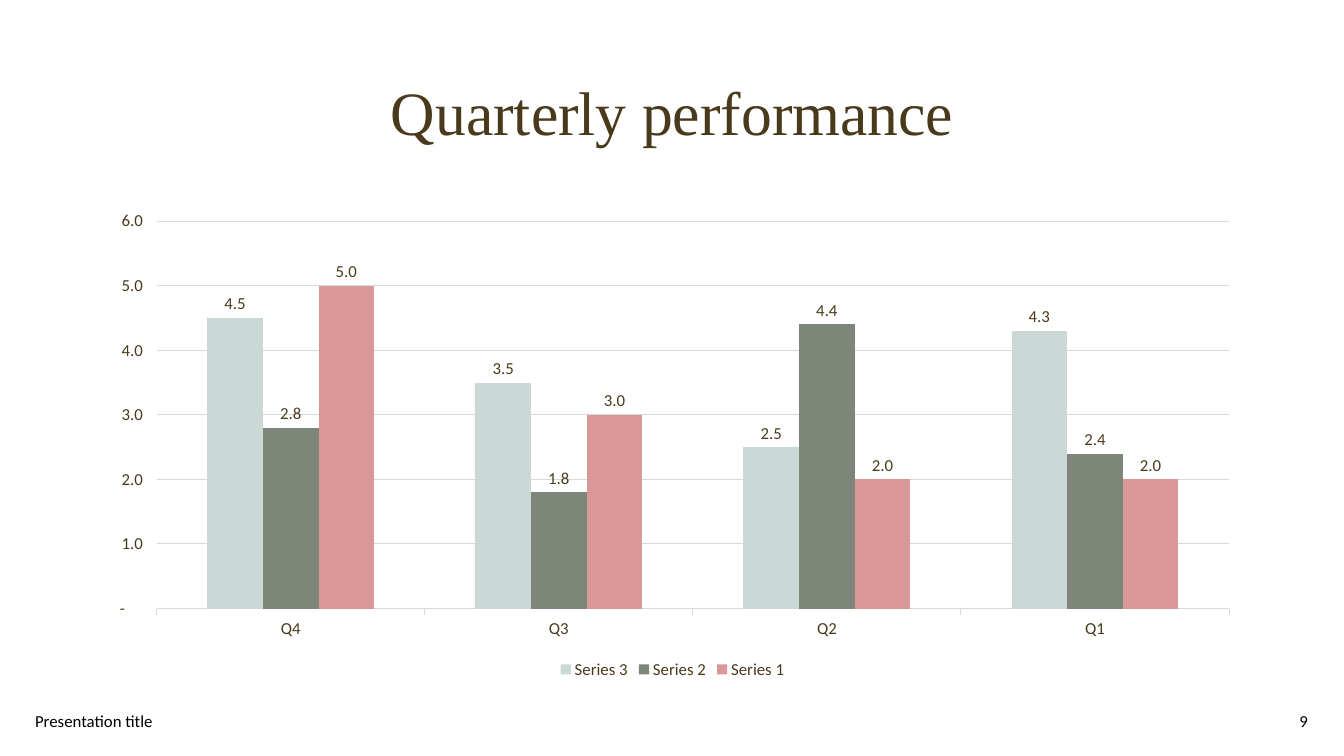
from pptx import Presentation
from pptx.chart.data import CategoryChartData as ChartData
from pptx.dml.color import RGBColor as RGB
from pptx.enum.chart import XL_CHART_TYPE as Kind
from pptx.enum.chart import XL_LABEL_POSITION as Spot
from pptx.enum.chart import XL_LEGEND_POSITION as Side
from pptx.enum.chart import XL_TICK_MARK as Tick
from pptx.enum.text import MSO_ANCHOR as Anchor
from pptx.enum.text import PP_ALIGN as Align
from pptx.util import Inches, Pt

COLORS = {
    "brown": "4A3A1C", "black": "000000", "grid": "D9D9D9",
    "mist": "CAD8D6", "sage": "7E8679", "rose": "D99797",
}
QUARTERS = ["Q4", "Q3", "Q2", "Q1"]
SERIES = [
    ("Series 3", [4.5, 3.5, 2.5, 4.3], "mist"),
    ("Series 2", [2.8, 1.8, 4.4, 2.4], "sage"),
    ("Series 1", [5, 3, 2, 2], "rose"),
]
FORMAT = '_(* #,##0.0_);_(* \\(#,##0.0\\);_(* "-"??_);_(@_)'


def color(name):
    return RGB.from_string(COLORS[name])


def style(font, size=12, tint="brown", face="Calibri"):
    font.name = face
    font.size = Pt(size)
    font.color.rgb = color(tint)


def rule(line):
    """Make an axis or grid line thin and grey."""
    line.color.rgb = color("grid")
    line.width = Pt(0.75)


def set_title(slide, text):
    title = slide.shapes.title
    title.left, title.top = Inches(0.92), Inches(0.42)
    title.width, title.height = Inches(11.5), Inches(1.45)
    title.text = text
    title.text_frame.vertical_anchor = Anchor.MIDDLE
    para = title.text_frame.paragraphs[0]
    para.alignment = Align.CENTER
    para.line_spacing = 0.9
    style(para.font, 44, face="Times New Roman")


def add_note(slide, text, left, width, align):
    """Add a text to the footer row."""
    box = slide.shapes.add_textbox(
        Inches(left), Inches(6.95), Inches(width), Inches(0.4))
    frame = box.text_frame
    frame.word_wrap = True
    frame.vertical_anchor = Anchor.MIDDLE
    para = frame.paragraphs[0]
    para.text = text
    para.alignment = align
    style(para.font, tint="black")


def style_axes(chart):
    cat, val = chart.category_axis, chart.value_axis
    for axis in (cat, val):
        axis.major_tick_mark = Tick.OUTSIDE
        axis.minor_tick_mark = Tick.NONE
        style(axis.tick_labels.font)
    rule(cat.format.line)
    val.format.line.fill.background()
    val.minimum_scale, val.maximum_scale, val.major_unit = 0, 6, 1
    val.has_major_gridlines = True
    rule(val.major_gridlines.format.line)
    val.tick_labels.number_format = FORMAT
    val.tick_labels.number_format_is_linked = False


def style_bars(plot):
    plot.gap_width = 182
    plot.overlap = 0
    plot.vary_by_categories = False
    for bars, (_, _, tint) in zip(plot.series, SERIES):
        bars.format.fill.solid()
        bars.format.fill.fore_color.rgb = color(tint)
        bars.invert_if_negative = False
        labels = bars.data_labels
        labels.show_value = True
        labels.position = Spot.OUTSIDE_END
        labels.number_format = FORMAT
        labels.number_format_is_linked = False
        style(labels.font)


def add_bars(slide):
    data = ChartData(number_format=FORMAT)
    data.categories = QUARTERS
    for name, values, _ in SERIES:
        data.add_series(name, values)
    chart = slide.shapes.add_chart(
        Kind.COLUMN_CLUSTERED, Inches(0.92), Inches(2),
        Inches(11.5), Inches(4.78), data).chart
    style(chart.font, 10, "black")
    chart.has_title = False
    chart.has_legend = True
    chart.legend.position = Side.BOTTOM
    chart.legend.include_in_layout = False
    style(chart.legend.font)
    style_axes(chart)
    style_bars(chart.plots[0])


def main():
    deck = Presentation()
    deck.slide_width, deck.slide_height = Inches(13.33), Inches(7.5)
    slide = deck.slides.add_slide(deck.slide_layouts[5])
    set_title(slide, "Quarterly performance")
    add_bars(slide)
    add_note(slide, "Presentation title", 0.25, 4.5, Align.LEFT)
    add_note(slide, "9", 10.07, 3, Align.RIGHT)
    deck.save("out.pptx")


if __name__ == "__main__":
    main()
